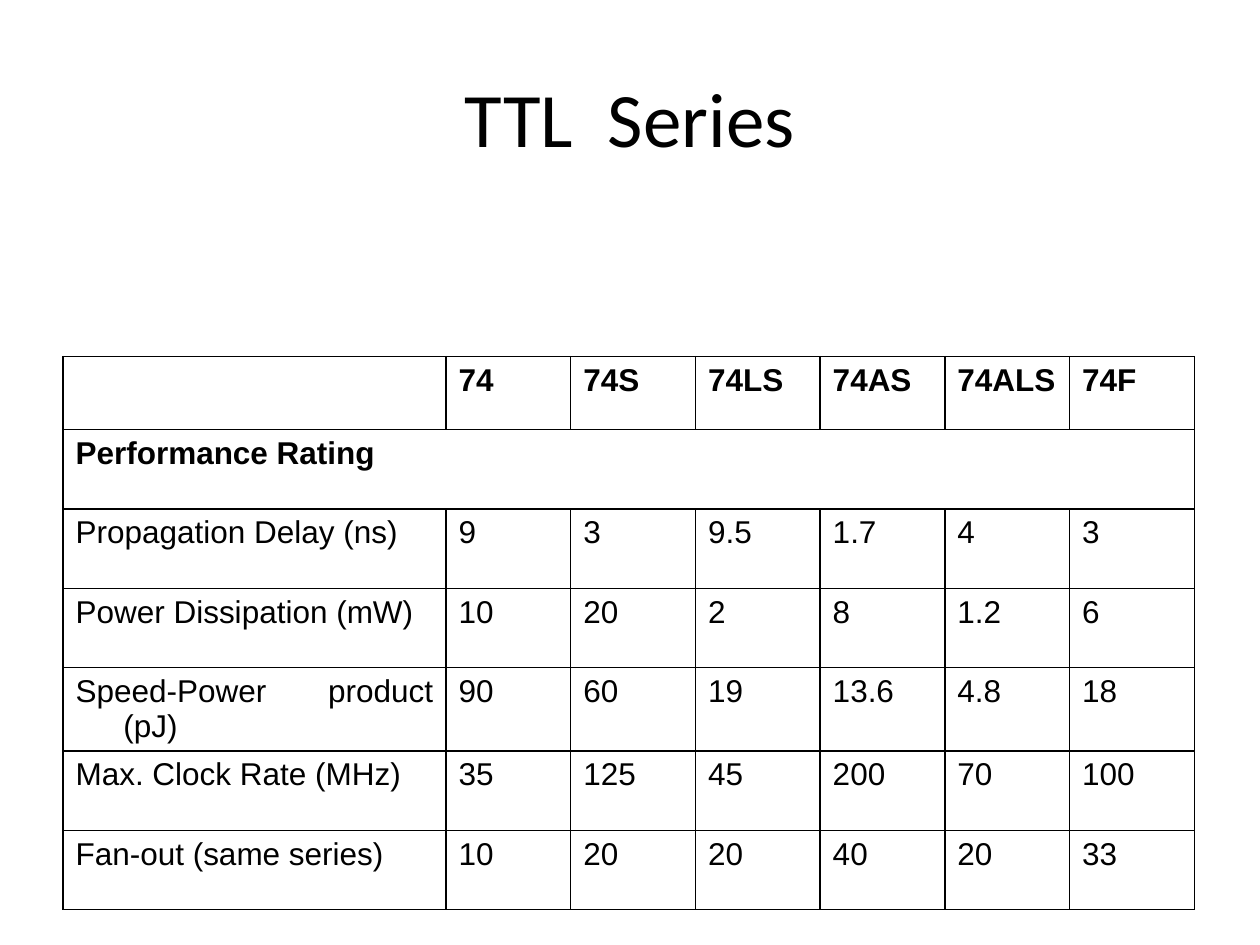
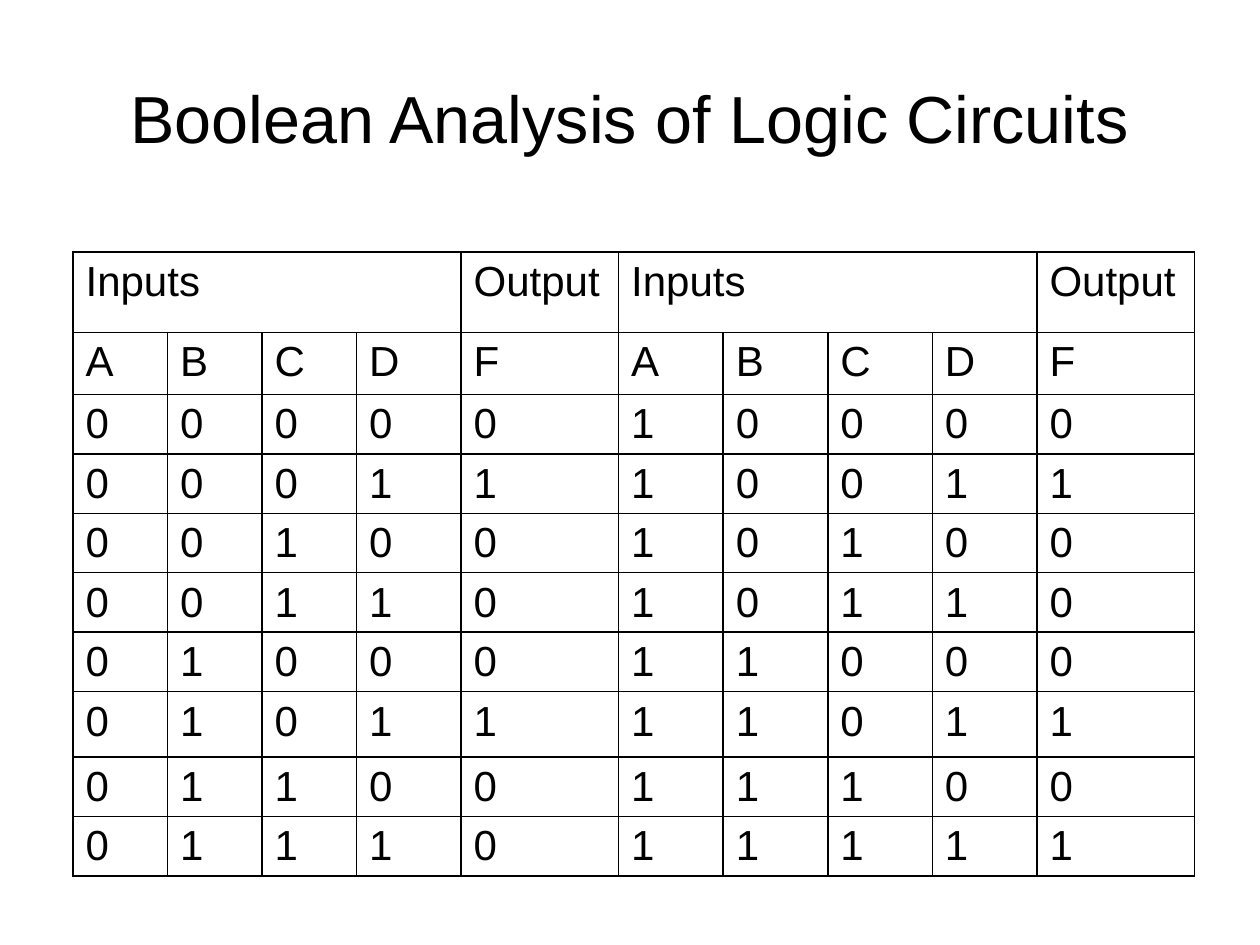
import pptx
import pptx.util
import pptx.dml.color
import pptx.enum.text
import pptx.oxml
import pptx.oxml.ns

Inches = pptx.util.Inches
Pt = pptx.util.Pt
ALIGN = pptx.enum.text.PP_ALIGN
COLORS = {"ink": "000000", "paper": "FFFFFF"}
TITLE_BOX = (0.5, 0.3, 9, 1.25)
HANG = 0.38

SERIES = [
    ["", "74", "74S", "74LS", "74AS", "74ALS", "74F"],
    ["Performance Rating"] + [""] * 6,
    ["Propagation Delay (ns)", "9", "3", "9.5", "1.7", "4", "3"],
    ["Power Dissipation (mW)", "10", "20", "2", "8", "1.2", "6"],
    ["Speed-Power product (pJ)", "90", "60", "19", "13.6", "4.8", "18"],
    ["Max. Clock Rate (MHz)", "35", "125", "45", "200", "70", "100"],
    ["Fan-out (same series)", "10", "20", "20", "40", "20", "33"],
]
TRUE_TERMS = {1, 5, 9, 13, 15}


def color(name):
    return pptx.dml.color.RGBColor.from_string(COLORS[name])


def set_font(para, face, size, bold=False):
    font = para.font
    font.name, font.size, font.bold = face, Pt(size), bold
    font.color.rgb = color("ink")


def add_slide(deck, title, face, size):
    slide = deck.slides.add_slide(deck.slide_layouts[5])
    slide.background.fill.solid()
    slide.background.fill.fore_color.rgb = color("paper")
    shape = slide.shapes.title
    shape.left, shape.top, shape.width, shape.height = map(Inches, TITLE_BOX)
    shape.text_frame.text = title
    shape.text_frame.vertical_anchor = pptx.enum.text.MSO_ANCHOR.MIDDLE
    para = shape.text_frame.paragraphs[0]
    para.alignment = ALIGN.CENTER
    set_font(para, face, size)
    return slide


def add_border(cell):
    props = cell._tc.get_or_add_tcPr()
    for side in ("lnL", "lnR", "lnT", "lnB"):
        props.append(pptx.oxml.parse_xml(
            f'<a:{side} {pptx.oxml.ns.nsdecls("a")} w="{Pt(1)}"><a:solidFill>'
            f'<a:srgbClr val="{COLORS["ink"]}"/></a:solidFill></a:{side}>'))


def fill_cell(cell, text, size, bold, hang):
    add_border(cell)
    cell.fill.background()
    cell.text = text
    para = cell.text_frame.paragraphs[0]
    para.alignment = ALIGN.JUSTIFY
    set_font(para, "Arial", size, bold)
    if hang:
        props = para._p.get_or_add_pPr()
        props.set("marL", str(Inches(HANG)))
        props.set("indent", str(Inches(-HANG)))


def add_grid(slide, left, top, widths, heights, data, size, spans,
             bold_rows=(), flush_cols=()):
    box = (left, top, sum(widths), sum(heights))
    table = slide.shapes.add_table(
        len(heights), len(widths), *map(Inches, box)).table
    table.first_row = table.horz_banding = False
    for col, width in zip(table.columns, widths):
        col.width = Inches(width)
    for row, height in zip(table.rows, heights):
        row.height = Inches(height)
    for r, line in enumerate(data):
        for c, text in enumerate(line):
            fill_cell(table.cell(r, c), text, size, r in bold_rows,
                      c not in flush_cols)
    for row, start, end in spans:
        table.cell(row, start).merge(table.cell(row, end))


def truth_rows():
    def entry(term):
        return list(f"{term:04b}") + [str(int(term in TRUE_TERMS))]

    head = ["Inputs", "", "", "", "Output"]
    return [head * 2, list("ABCDF") * 2] + [
        entry(term) + entry(term + 8) for term in range(8)]


def series_slide(deck):
    slide = add_slide(deck, "TTL  Series", "Calibri", 44)
    add_grid(slide, 0.5, 2.83, [3.04] + [0.99] * 6, [0.58] + [0.63] * 6,
             SERIES, 18, [(1, 0, 6)], bold_rows=(0, 1))


def truth_slide(deck):
    slide = add_slide(deck, "Boolean Analysis of Logic Circuits", "Arial", 38)
    widths = [0.75] * 3 + [0.83, 1.25] + [0.83] * 4 + [1.25]
    heights = [0.64, 0.49] + [0.45] * 5 + [0.52] + [0.45] * 2
    add_grid(slide, 0.58, 2, widths, heights, truth_rows(), 24,
             [(0, 0, 3), (0, 5, 8)], flush_cols=range(4, 9))


def main():
    deck = pptx.Presentation()
    deck.slide_width, deck.slide_height = Inches(10), Inches(7.5)
    series_slide(deck)
    truth_slide(deck)
    deck.save("out.pptx")


if __name__ == "__main__":
    main()
